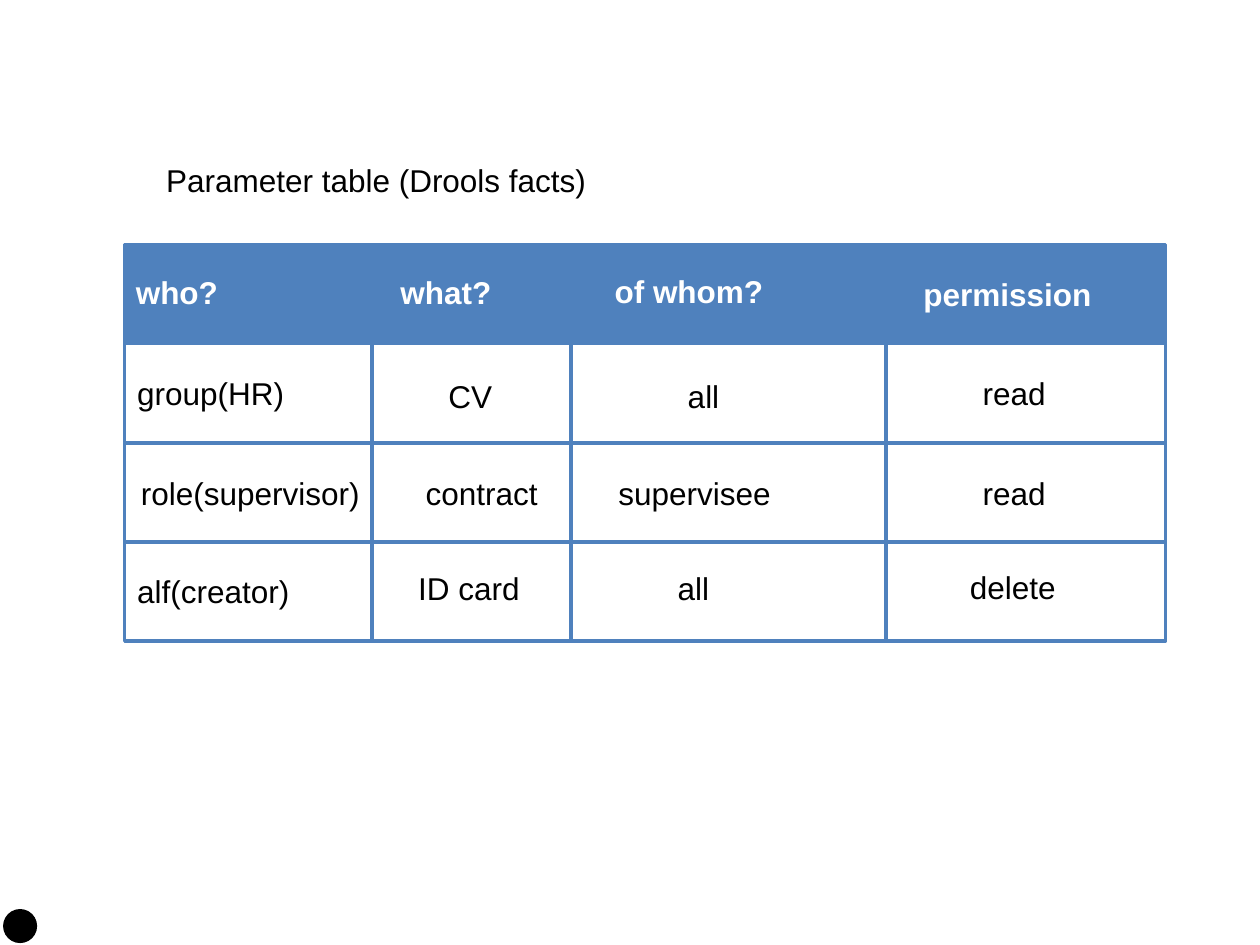
from pptx import Presentation
from pptx.dml.color import RGBColor
from pptx.enum.shapes import MSO_CONNECTOR, MSO_SHAPE
from pptx.enum.text import MSO_AUTO_SIZE
from pptx.oxml.ns import qn
from pptx.util import Inches, Pt
from lxml import etree

BLUE, BLACK, WHITE = "4F81BD", "000000", "FFFFFF"
GRID_LEFT, GRID_TOP, GRID_WIDTH = 0.99, 1.94, 8.26
ROW_HEIGHT, ROW_COUNT = 0.787, 4


def color(hex_string):
    return RGBColor.from_string(hex_string)


def add_label(text, left, top, width, text_color=BLACK, bold=False):
    label = slide.shapes.add_textbox(
        Inches(left), Inches(top), Inches(width), Inches(0.4))
    frame = label.text_frame
    frame.word_wrap = False
    frame.auto_size = MSO_AUTO_SIZE.SHAPE_TO_FIT_TEXT
    paragraph = frame.paragraphs[0]
    paragraph.text = text
    paragraph.font.name = "Arial"
    paragraph.font.size = Pt(18)
    paragraph.font.bold = bold
    paragraph.font.color.rgb = color(text_color)


presentation = Presentation()
presentation.slide_width = Inches(10)
presentation.slide_height = Inches(7.5)
slide = presentation.slides.add_slide(presentation.slide_layouts[6])

add_label("Parameter table (Drools facts)", 1.22, 1.23, 3.57)

# Row frames, the first one filled as the header
for row in range(ROW_COUNT):
    frame = slide.shapes.add_shape(
        MSO_SHAPE.RECTANGLE, Inches(GRID_LEFT), Inches(GRID_TOP + row * ROW_HEIGHT),
        Inches(GRID_WIDTH), Inches(ROW_HEIGHT))
    frame.shadow.inherit = False
    frame.line.color.rgb = color(BLUE)
    frame.line.width = Pt(2)
    if row == 0:
        frame.fill.solid()
        frame.fill.fore_color.rgb = color(BLUE)
    else:
        frame.fill.background()

# Column dividers
for x in (2.95, 4.53, 7.03):
    divider = slide.shapes.add_connector(
        MSO_CONNECTOR.STRAIGHT, Inches(x), Inches(2.02), Inches(x), Inches(5.09))
    divider.line.color.rgb = color(BLUE)
    divider.line.width = Pt(2.25)
    etree.SubElement(divider._element.spPr, qn("a:effectLst"))

# Header labels: text, left, top, width
headers = [
    ("who?", 0.98, 2.12, 0.97),
    ("what?", 3.08, 2.12, 1.05),
    ("of whom?", 4.78, 2.11, 1.57),
    ("permission", 7.23, 2.13, 1.75),
]
for header in headers:
    add_label(*header, text_color=WHITE, bold=True)

# Entries, row by row: text, left, top, width
entries = [
    ("group(HR)", 0.99, 2.92, 1.38),
    ("CV", 3.46, 2.94, 0.62),
    ("all", 5.36, 2.94, 0.51),
    ("read", 7.7, 2.92, 0.8),
    ("role(supervisor)", 1.02, 3.71, 1.96),
    ("contract", 3.28, 3.71, 1.1),
    ("supervisee", 4.81, 3.71, 1.6),
    ("read", 7.7, 3.71, 0.8),
    ("alf(creator)", 0.99, 4.49, 1.42),
    ("ID card", 3.22, 4.47, 1.15),
    ("all", 5.28, 4.47, 0.51),
    ("delete", 7.6, 4.46, 1),
]
for entry in entries:
    add_label(*entry)

dot = slide.shapes.add_shape(
    MSO_SHAPE.OVAL, Inches(0.03), Inches(7.22), Inches(0.26), Inches(0.26))
dot.shadow.inherit = False
dot.fill.solid()
dot.fill.fore_color.rgb = color(BLACK)
dot.line.color.rgb = color(BLACK)
dot.line.width = Pt(0.75)

presentation.save("out.pptx")
